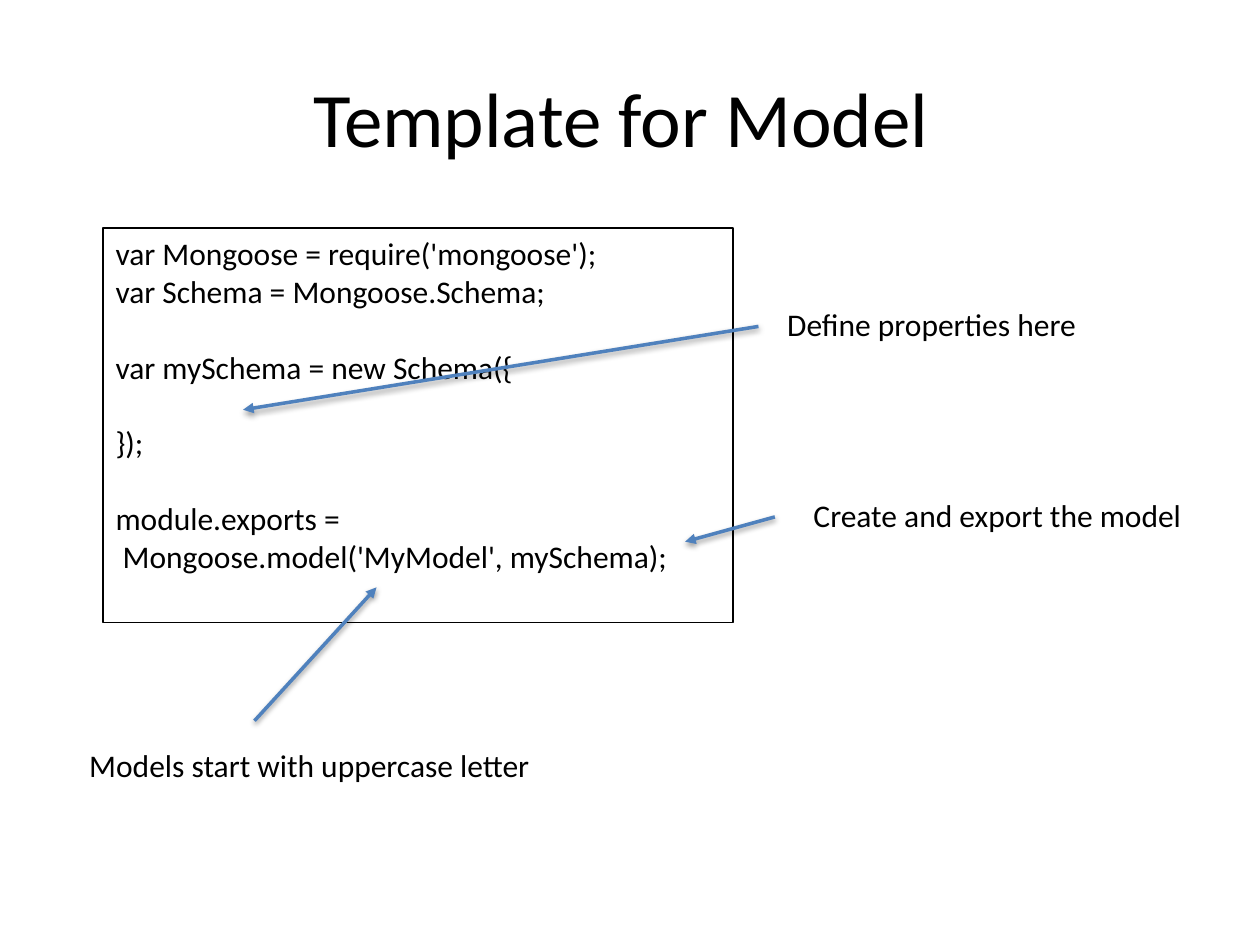
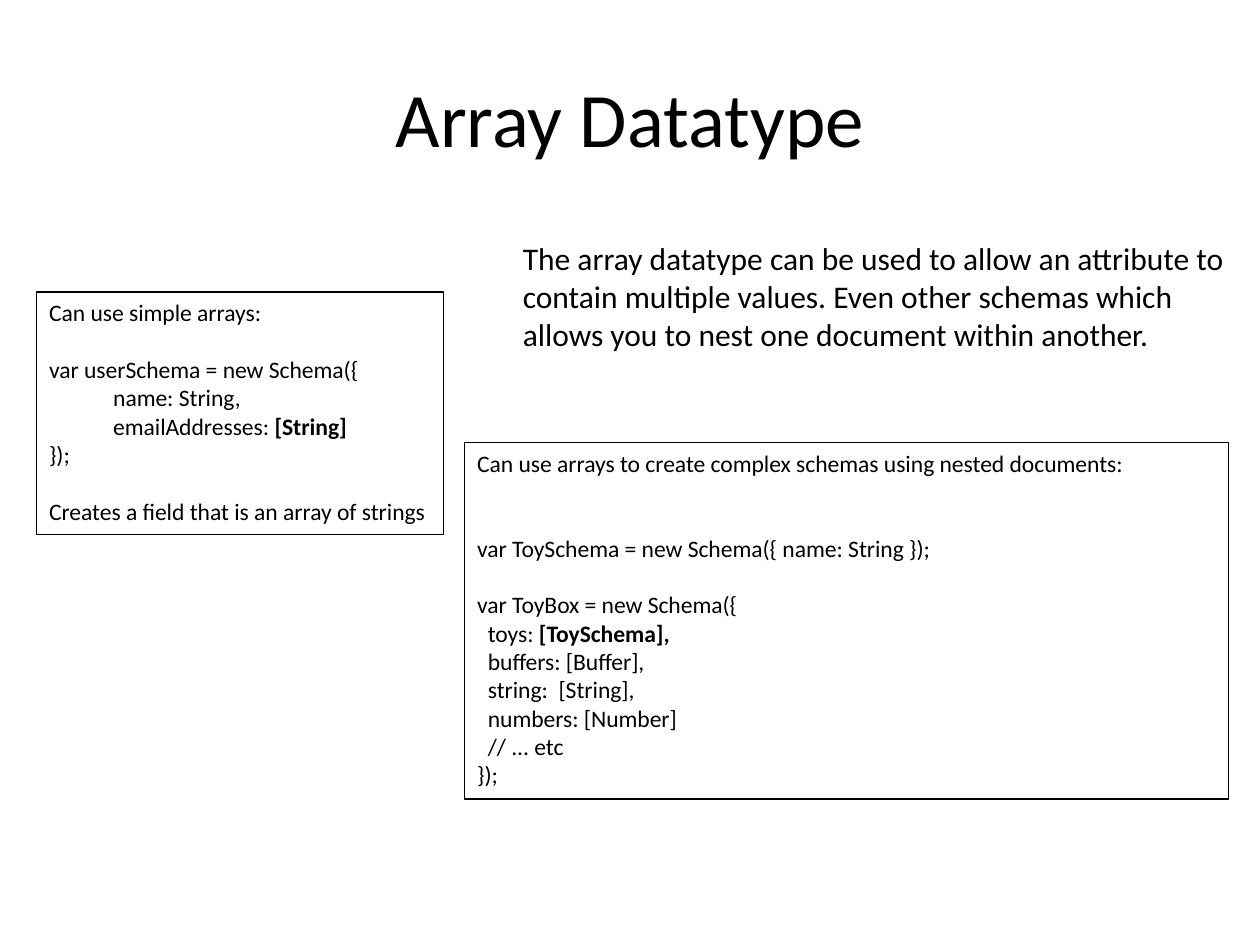
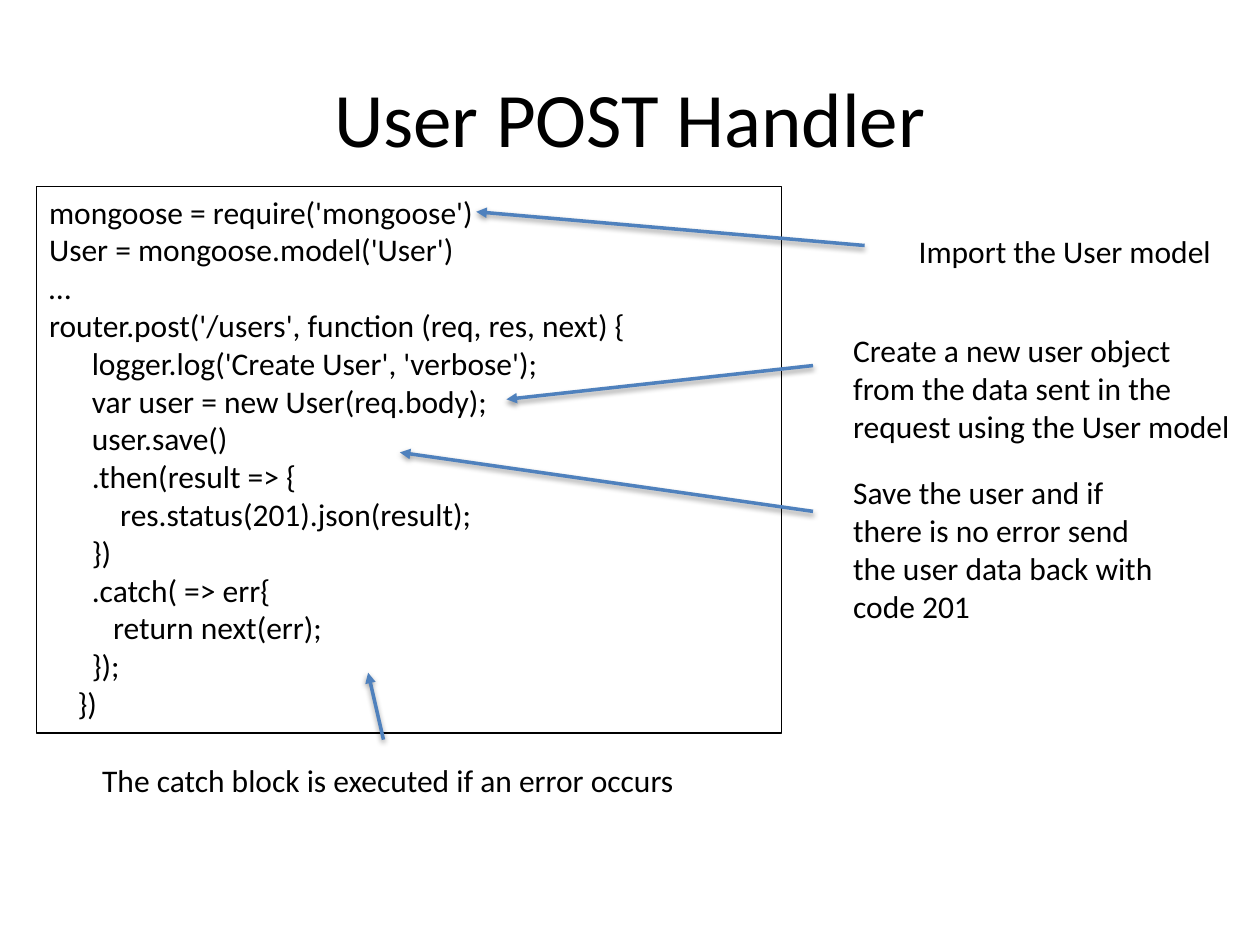
import dataclasses

import pptx
import pptx.dml.color
import pptx.enum.shapes
import pptx.enum.text
import pptx.util
from pptx.util import Cm

COLORS = {"text": "000000", "border": "000000", "arrow": "4F81BD"}
FONT = "Calibri"
TITLE_BOX = (1.27, 0.76, 22.86, 3.18)
LINE_HEIGHT = 1.2
SPACE_WIDTH = 0.226


@dataclasses.dataclass
class Line:
    """A line of code: indent in characters, gap in lines above it."""
    text: str
    indent: int = 0
    gap: int = 0
    bold: str = ""


def rgb(name):
    """Return the named colour."""
    return pptx.dml.color.RGBColor.from_string(COLORS[name])


def add_run(p, text, size, bold=False):
    """Add formatted text to a paragraph, breaking it at newlines."""
    for i, part in enumerate(text.split("\n")):
        if i:
            p.add_line_break()
        r = p.add_run()
        r.text = part
        r.font.name = FONT
        r.font.size = pptx.util.Pt(size)
        r.font.bold = bold
        r.font.color.rgb = rgb("text")


def write(tf, lines, size=18, align=None, wrap=True):
    """Fill a text frame with lines."""
    tf.word_wrap = wrap
    for i, line in enumerate(lines):
        p = tf.add_paragraph() if i else tf.paragraphs[0]
        p.alignment = align
        if line.gap:
            p.space_before = pptx.util.Pt(line.gap * size * LINE_HEIGHT)
        if line.indent:
            indent = pptx.util.Pt(line.indent * size * SPACE_WIDTH)
            p._p.get_or_add_pPr().set("marL", str(int(indent)))
        add_run(p, line.text, size)
        if line.bold:
            add_run(p, line.bold, size, bold=True)


def text_box(s, box, lines, **fmt):
    """Add a text box and return it."""
    sp = s.shapes.add_textbox(*map(Cm, box))
    write(sp.text_frame, lines, **fmt)
    return sp


def titled_slide(prs, title):
    """Add a slide with the shared title style."""
    s = prs.slides.add_slide(prs.slide_layouts[5])
    sp = s.shapes.title
    sp.left, sp.top, sp.width, sp.height = map(Cm, TITLE_BOX)
    sp.text_frame.vertical_anchor = pptx.enum.text.MSO_ANCHOR.MIDDLE
    write(sp.text_frame, [Line(title)], size=44, align=pptx.enum.text.PP_ALIGN.CENTER)
    return s


def code_box(s, box, lines, size=18):
    """Add an outlined box of code."""
    sp = text_box(s, box, lines, size=size)
    sp.line.color.rgb = rgb("border")
    sp.line.width = pptx.util.Pt(0.75)


def arrow(s, start, end):
    """Add an arrow with its head at the end."""
    c = s.shapes.add_connector(
        pptx.enum.shapes.MSO_CONNECTOR.STRAIGHT, *map(Cm, start + end))
    c.line.color.rgb = rgb("arrow")
    c.line.width = pptx.util.Pt(2)
    tail = pptx.oxml.parse_xml(
        '<a:tailEnd xmlns:a="http://schemas.openxmlformats.org/drawingml/2006/main"'
        ' type="triangle"/>')
    c.line._get_or_add_ln().append(tail)


def callout(s, code, label, text, start, end, wrap=False):
    """Add a label and its arrow, both measured from the code box's corner."""
    x, y = code[:2]
    left, top, width, height = label
    text_box(s, (x + left, y + top, width, height), [Line(text)], wrap=wrap)
    arrow(s, (x + start[0], y + start[1]), (x + end[0], y + end[1]))


def model_slide(prs, box):
    """Build the model template slide."""
    s = titled_slide(prs, "Template for Model ")
    code_box(s, box, [
        Line("var Mongoose = require('mongoose');"),
        Line("var Schema = Mongoose.Schema;"),
        Line("var mySchema = new Schema({", gap=1),
        Line("});", gap=1),
        Line("module.exports =", gap=1),
        Line("Mongoose.model('MyModel', mySchema);", indent=1),
    ])
    callout(s, box, (13.54, 1.42, 8.71, 1.02), "Define properties here",
            (13.21, 1.98), (2.82, 3.66), wrap=True)
    callout(s, box, (14.07, 5.28, 8.03, 1.02), "Create and export the model",
            (13.54, 5.82), (11.73, 6.32))
    callout(s, box, (-0.53, 10.31, 9.5, 1.02), "Models start with uppercase letter",
            (3.05, 9.93), (5.51, 7.24))


def array_slide(prs, simple_box, nested_box, intro_box):
    """Build the array datatype slide."""
    s = titled_slide(prs, "Array Datatype")
    code_box(s, simple_box, [
        Line("Can use simple arrays:"),
        Line("var userSchema = new Schema({", gap=1),
        Line("name: String,", indent=12),
        Line("emailAddresses: ", indent=12, bold="[String]"),
        Line("});"),
        Line("Creates a field that is an array of strings", gap=1),
    ], size=13.5)
    code_box(s, nested_box, [
        Line("Can use arrays to create complex schemas using nested documents:"),
        Line("var ToySchema = new Schema({ name: String });", gap=2),
        Line("var ToyBox = new Schema({", gap=1),
        Line("toys: ", indent=2, bold="[ToySchema],"),
        Line("buffers: [Buffer],", indent=2),
        Line("string:  [String],", indent=2),
        Line("numbers: [Number]", indent=2),
        Line("// ... etc", indent=2),
        Line("});"),
    ], size=13.5)
    text_box(s, intro_box, [Line(
        "The array datatype can be used to allow an attribute to\n"
        "contain multiple values. Even other schemas which\n"
        "allows you to nest one document within another.")], wrap=False)


def handler_slide(prs, box):
    """Build the POST handler slide."""
    s = titled_slide(prs, "User POST Handler")
    code_box(s, box, [
        Line("mongoose = require('mongoose')"),
        Line("User = mongoose.model('User')"),
        Line("…"),
        Line("router.post('/users', function (req, res, next) {"),
        Line("logger.log('Create User', 'verbose');", indent=6),
        Line("var user = new User(req.body);", indent=6),
        Line("user.save()", indent=6),
        Line(".then(result => {", indent=6),
        Line("res.status(201).json(result);", indent=10),
        Line("})", indent=6),
        Line(".catch( => err{", indent=6),
        Line("return next(err);", indent=9),
        Line("});", indent=6),
        Line("})", indent=4),
    ])
    callout(s, box, (17.53, 0.79, 6.48, 1.02), "Import the User model",
            (16.69, 1.19), (8.86, 0.51))
    callout(s, box, (16.21, 2.79, 8.2, 2.57),
            "Create a new user object\nfrom the data sent in the\n"
            "request using the User model",
            (15.65, 3.61), (9.47, 4.29))
    callout(s, box, (16.21, 5.66, 6.96, 3.33),
            "Save the user and if there is no error send the user data back "
            "with code 201",
            (15.65, 6.55), (7.32, 5.36), wrap=True)
    callout(s, box, (1.07, 11.46, 12.17, 1.02),
            "The catch block is executed if an error occurs",
            (6.99, 11.15), (6.68, 9.8))


def main():
    """Build and save the slides."""
    prs = pptx.Presentation()
    prs.slide_width, prs.slide_height = Cm(25.4), Cm(19.05)
    model_slide(prs, (2.08, 4.6, 12.7, 7.95))
    array_slide(prs, (0.74, 5.89, 8.2, 4.88), (9.37, 8.92, 15.39, 7.19),
                (10.29, 4.7, 14.83, 2.57))
    handler_slide(prs, (0.74, 3.76, 15.01, 11.02))
    prs.save("out.pptx")


if __name__ == "__main__":
    main()
